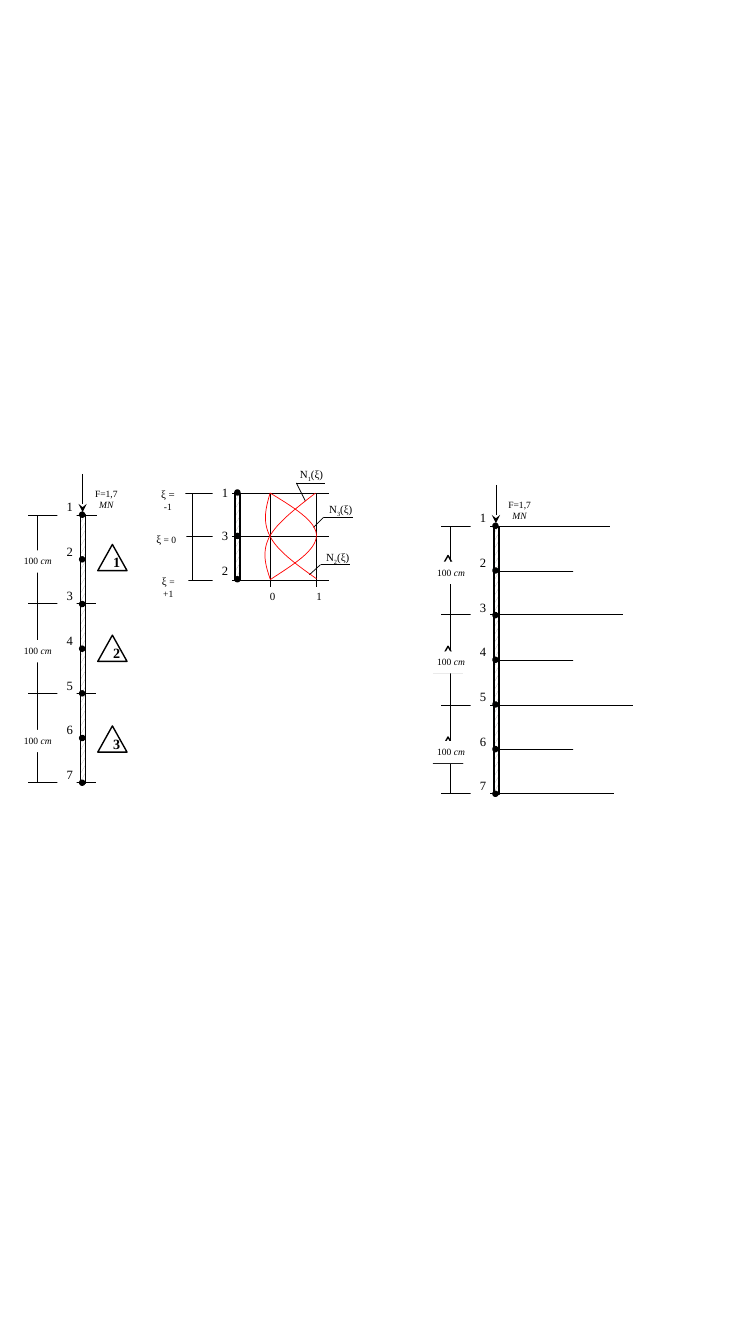
from dataclasses import dataclass
from typing import Optional

import pptx
import pptx.dml.color
import pptx.enum.dml
import pptx.enum.shapes
import pptx.enum.text
import pptx.util
from pptx.oxml import parse_xml
from pptx.util import Inches

COLORS = {"ink": "000000", "paper": "FFFFFF", "confetti": "AFABAB", "curve": "FF0000"}
FONT = "Times New Roman"
DRAWING_NS = 'xmlns:a="http://schemas.openxmlformats.org/drawingml/2006/main"'
SHAPES = pptx.enum.shapes.MSO_SHAPE
NODE_STEP = 0.443
NODE_SIZE = 0.05
LEVELS = (0, 0.87, 1.77, 2.65)

Point = tuple[float, float]


@dataclass(frozen=True)
class Run:
    text: str
    size: float
    italic: bool = False
    bold: bool = False
    subscript: bool = False


@dataclass(frozen=True)
class Label:
    left: float
    top: float
    width: float
    height: float
    runs: tuple[Run, ...]
    centered: bool = True
    filled: bool = True


@dataclass(frozen=True)
class Column:
    """A bar of three quadratic elements, placed by the top of its rod."""
    left: float
    top: float
    triangle_left: float
    level_ends: tuple[float, ...]
    midnode_end: Optional[float] = None


@dataclass(frozen=True)
class Leader:
    digit: str
    label_at: Point
    line: tuple[Point, Point, Point]


COLUMNS = (
    Column(0.8, 5.11, 0.97, (0.96, 0.95, 0.95, 0.95)),
    Column(4.9, 5.22, 4.3, (6.04, 6.17, 6.27, 6.09), midnode_end=5.68),
)
LEADERS = (
    Leader("1", (2.83, 4.59), ((3.03, 4.97), (2.94, 4.79), (3.22, 4.79))),
    Leader("3", (3.12, 4.94), ((3.11, 5.23), (3.21, 5.13), (3.5, 5.13))),
    Leader("2", (3.09, 5.41), ((3.07, 5.7), (3.18, 5.6), (3.47, 5.6))),
)
# Cubic curves: a start point, then two controls and an end per segment
SHAPE_FUNCTIONS: tuple[tuple[Point, ...], ...] = (
    ((3.13, 4.89), (2.94, 5.04), (2.75, 5.18), (2.67, 5.33), (2.6, 5.47), (2.63, 5.6), (2.68, 5.74)),
    ((2.68, 4.89), (2.64, 5.03), (2.6, 5.17), (2.68, 5.32), (2.75, 5.46), (2.94, 5.6), (3.14, 5.74)),
    ((2.68, 4.89), (2.91, 5.03), (3.14, 5.17), (3.14, 5.31), (3.14, 5.46), (2.91, 5.6), (2.68, 5.75)),
)


def rgb(name: str) -> pptx.dml.color.RGBColor:
    return pptx.dml.color.RGBColor.from_string(COLORS[name])


def draw_line(slide, start: Point, end: Point, width: float = 0.25,
              dotted: bool = True, arrow: bool = False) -> None:
    connector = slide.shapes.add_connector(
        pptx.enum.shapes.MSO_CONNECTOR.STRAIGHT, *map(Inches, start + end))
    connector.line.color.rgb = rgb("ink")
    connector.line.width = pptx.util.Pt(width)
    if dotted:
        connector.line.dash_style = pptx.enum.dml.MSO_LINE.ROUND_DOT
    if arrow:
        connector.line._get_or_add_ln().append(parse_xml(f'<a:tailEnd {DRAWING_NS} type="stealth"/>'))
    connector._element.spPr.append(parse_xml(f"<a:effectLst {DRAWING_NS}/>"))


def draw_shape(slide, kind, left: float, top: float, width: float, height: float):
    shape = slide.shapes.add_shape(kind, *map(Inches, (left, top, width, height)))
    shape.shadow.inherit = False
    shape.fill.background()
    shape.line.color.rgb = rgb("ink")
    shape.line.width = pptx.util.Pt(1)
    return shape


def draw_rod(slide, left: float, top: float, height: float) -> None:
    rod = draw_shape(slide, SHAPES.RECTANGLE, left, top, 0.05, height)
    rod.fill.patterned()
    rod.fill.pattern = pptx.enum.dml.MSO_PATTERN.LARGE_CONFETTI
    rod.fill.fore_color.rgb = rgb("confetti")
    rod.fill.back_color.rgb = rgb("paper")


def draw_node(slide, left: float, top: float) -> None:
    node = draw_shape(slide, SHAPES.OVAL, left, top, NODE_SIZE, NODE_SIZE)
    node.fill.solid()
    node.fill.fore_color.rgb = rgb("ink")


def draw_label(slide, label: Label) -> None:
    box = slide.shapes.add_textbox(*map(Inches, (label.left, label.top, label.width, label.height)))
    if label.filled:
        box.fill.solid()
        box.fill.fore_color.rgb = rgb("paper")
    frame = box.text_frame
    frame.word_wrap = True
    frame.auto_size = pptx.enum.text.MSO_AUTO_SIZE.SHAPE_TO_FIT_TEXT
    paragraph = frame.paragraphs[0]
    if label.centered:
        paragraph.alignment = pptx.enum.text.PP_ALIGN.CENTER
    for part in label.runs:
        run = paragraph.add_run()
        run.text = part.text
        run.font.name = FONT
        run.font.size = pptx.util.Pt(part.size)
        run.font.color.rgb = rgb("ink")
        run.font.italic = part.italic or None
        run.font.bold = part.bold or None
        if part.subscript:
            run._r.get_or_add_rPr().set("baseline", "-25000")


def draw_node_label(slide, left: float, top: float, node: int, filled: bool = True) -> None:
    draw_label(slide, Label(left, top, 0.19, 0.25, (Run(str(node), 9),), centered=False, filled=filled))


def draw_curve(slide, points: tuple[Point, ...], steps: int = 16) -> None:
    vertices = []
    for first in range(0, len(points) - 1, 3):
        controls = points[first:first + 4]
        for step in range(1, steps + 1):
            t = step / steps
            weights = ((1 - t) ** 3, 3 * t * (1 - t) ** 2, 3 * t * t * (1 - t), t ** 3)
            vertices.append(tuple(Inches(sum(w * c[axis] for w, c in zip(weights, controls)))
                                  for axis in (0, 1)))
    builder = slide.shapes.build_freeform(*map(Inches, points[0]))
    builder.add_line_segments(vertices, close=False)
    curve = builder.convert_to_shape()
    curve.shadow.inherit = False
    curve.fill.background()
    curve.line.color.rgb = rgb("curve")
    curve.line.width = pptx.util.Pt(0.5)


def draw_column(slide, column: Column) -> None:
    x, y = column.left, column.top
    # Rod, dimension line and levels
    draw_rod(slide, x, y, 2.66)
    draw_line(slide, (x - 0.43, y), (x - 0.43, y + 2.65))
    for level, end in zip(LEVELS, column.level_ends):
        draw_line(slide, (x - 0.52, y + level), (end, y + level), dotted=level != LEVELS[-1])
    # Nodes
    for index in range(7):
        offset = index * NODE_STEP
        draw_node(slide, x - 0.01, y - 0.03 + offset)
        draw_node_label(slide, x - 0.23, y - 0.21 + offset, index + 1, filled=index != 3)
        if column.midnode_end and index % 2:
            draw_line(slide, (x + 0.05, y + offset), (column.midnode_end, y + offset))
    # Element numbers and lengths
    for index in range(3):
        left, top = column.triangle_left, y + 0.29 + 0.9 * index
        draw_shape(slide, SHAPES.ISOSCELES_TRIANGLE, left, top, 0.29, 0.26)
        draw_label(slide, Label(left + 0.06, top + 0.04, 0.19, 0.27,
                                (Run(str(index + 1), 10.1, bold=True),), centered=False, filled=False))
        draw_label(slide, Label(x - 0.68, y + 0.35 + 0.89 * index, 0.51, 0.22,
                                (Run("100", 6.8), Run(" cm", 6.8, italic=True))))
    # Force
    draw_line(slide, (x + 0.02, y - 0.41), (x + 0.02, y - 0.03), 0.5, dotted=False, arrow=True)
    draw_label(slide, Label(x, y - 0.32, 0.51, 0.33,
                            (Run("F=1,7 ", 6.8), Run("MN", 6.8, italic=True)), filled=False))


def draw_reference_element(slide) -> None:
    # Rod, nodes and levels
    draw_rod(slide, 2.33, 4.9, 0.86)
    draw_line(slide, (1.91, 4.89), (1.91, 5.75))
    for index, (node, label_top) in enumerate(((1, 4.76), (3, 5.19), (2, 5.53))):
        level = 4.89 + 0.43 * index
        draw_line(slide, (1.84, level), (3.26, level))
        draw_node(slide, 2.33, level - 0.03)
        draw_node_label(slide, 2.11, label_top, node)
    # Local coordinates
    draw_label(slide, Label(1.49, 4.79, 0.35, 0.35, (Run("ξ = ", 7.8), Run("-1", 6.8))))
    draw_label(slide, Label(1.45, 5.23, 0.4, 0.23, (Run("ξ", 7.8), Run(" = 0", 6.8))))
    draw_label(slide, Label(1.47, 5.65, 0.4, 0.35, (Run("ξ", 7.8), Run(" = +1", 6.8))))
    # Value axis and shape functions
    for leader in LEADERS:
        draw_label(slide, Label(*leader.label_at, 0.52, 0.23, (
            Run("N", 7.8), Run(leader.digit, 7.8, subscript=True), Run("(ξ)", 7.8))))
        for start, end in zip(leader.line, leader.line[1:]):
            draw_line(slide, start, end, 0.5, dotted=False)
    for value, x in (("0", 2.68), ("1", 3.14)):
        draw_label(slide, Label(x - 0.1, 5.8, 0.2, 0.23, (Run(value, 7.8),)))
        draw_line(slide, (x, 4.9), (x, 5.82))
    for points in SHAPE_FUNCTIONS:
        draw_curve(slide, points)


def main() -> None:
    deck = pptx.Presentation()
    deck.slide_width, deck.slide_height = Inches(7.5), Inches(13.33)
    slide = deck.slides.add_slide(deck.slide_layouts[6])
    draw_column(slide, COLUMNS[0])
    draw_reference_element(slide)
    draw_column(slide, COLUMNS[1])
    deck.save("out.pptx")


if __name__ == "__main__":
    main()
